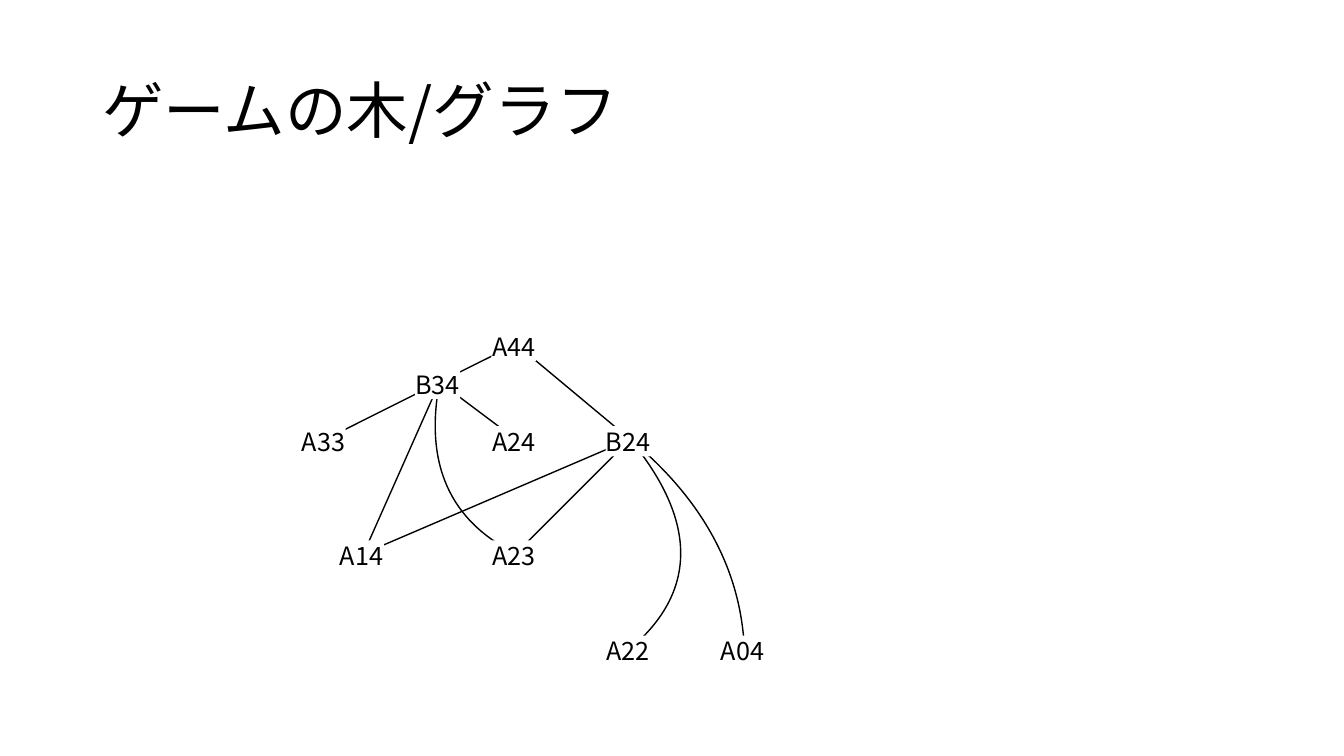
from lxml import etree
from pptx import Presentation
from pptx.dml.color import RGBColor
from pptx.enum import shapes, text
from pptx.oxml.ns import qn
from pptx.util import Cm, Pt

FONT = "Noto Sans CJK JP"
BLACK, WHITE = "000000", "FFFFFF"


def color(code):
    return RGBColor.from_string(code)


def write(shape, words, size=18, align=text.PP_ALIGN.CENTER, inset=0, wrap=False, space=1.0):
    frame = shape.text_frame
    frame.word_wrap = wrap
    frame.vertical_anchor = text.MSO_ANCHOR.MIDDLE
    frame.margin_left = frame.margin_right = Cm(inset)
    frame.margin_top = frame.margin_bottom = Cm(inset / 2)
    para = frame.paragraphs[0]
    para.alignment = align
    para.line_spacing = space
    run = para.add_run()
    run.text = words
    run.font.size = Pt(size)
    run.font.name = FONT
    run.font.color.rgb = color(BLACK)
    east = etree.SubElement(run._r.get_or_add_rPr(), qn("a:ea"))
    east.set("typeface", FONT)


deck = Presentation()
deck.slide_width, deck.slide_height = Cm(33.87), Cm(19.05)
slide = deck.slides.add_slide(deck.slide_layouts[6])
items = slide.shapes

title = items.add_textbox(Cm(2.33), Cm(1.01), Cm(29.21), Cm(3.68))
write(title, "ゲームの木/グラフ", size=44, align=text.PP_ALIGN.LEFT, inset=0.25, wrap=True, space=0.9)

grid = {
    "A44": (5, 0), "B34": (3, 2), "A33": (0, 5), "A24": (5, 5), "B24": (8, 5),
    "A14": (1, 11), "A23": (5, 11), "A22": (8, 16), "A04": (11, 16),
}
nodes = {name: (8.2 + 0.96 * col, 8.67 + 0.48 * row) for name, (col, row) in grid.items()}

edges = [
    ("B24", "A14"), ("A23", "B24"), ("A33", "B34"), ("A14", "B34"),
    ("A24", "B34"), ("B24", "A44"), ("A44", "B34"),
]
for start, end in edges:
    ends = [Cm(v) for v in nodes[start] + nodes[end]]
    line = items.add_connector(shapes.MSO_CONNECTOR.STRAIGHT, *ends)
    line.line.color.rgb = color(BLACK)
    line.line.width = Pt(1)
    etree.SubElement(line._element.spPr, qn("a:effectLst"))

curves = [
    ("A23", (11.33, 13.13), (10.69, 11.68), "B34"),
    ("A22", (17.58, 14.91), (17.58, 13.13), "B24"),
    ("A04", (18.67, 14.35), (17.7, 12.57), "B24"),
]
for start, near, far, end in curves:
    x, y = nodes[start]
    pen = items.build_freeform(Cm(x), Cm(y))
    pen.add_line_segments([(Cm(a), Cm(b)) for a, b in (near, far, nodes[end])], close=False)
    arc = pen.convert_to_shape()
    arc.shadow.inherit = False
    arc.fill.background()
    arc.line.color.rgb = color(BLACK)
    arc.line.width = Pt(1)
    legs = list(arc._element.iter(qn("a:lnTo")))
    bend = etree.SubElement(legs[0].getparent(), qn("a:cubicBezTo"))
    for leg in legs:
        bend.append(leg[0])
        leg.getparent().remove(leg)

wide, high = 1.13, 0.76
for name, (x, y) in nodes.items():
    box = items.add_shape(
        shapes.MSO_SHAPE.RECTANGLE,
        Cm(x - 0.05 - wide / 2), Cm(y + 0.05 - high / 2), Cm(wide), Cm(high),
    )
    box.shadow.inherit = False
    box.fill.solid()
    box.fill.fore_color.rgb = color(WHITE)
    box.line.fill.background()
    write(box, name)

deck.save("out.pptx")
